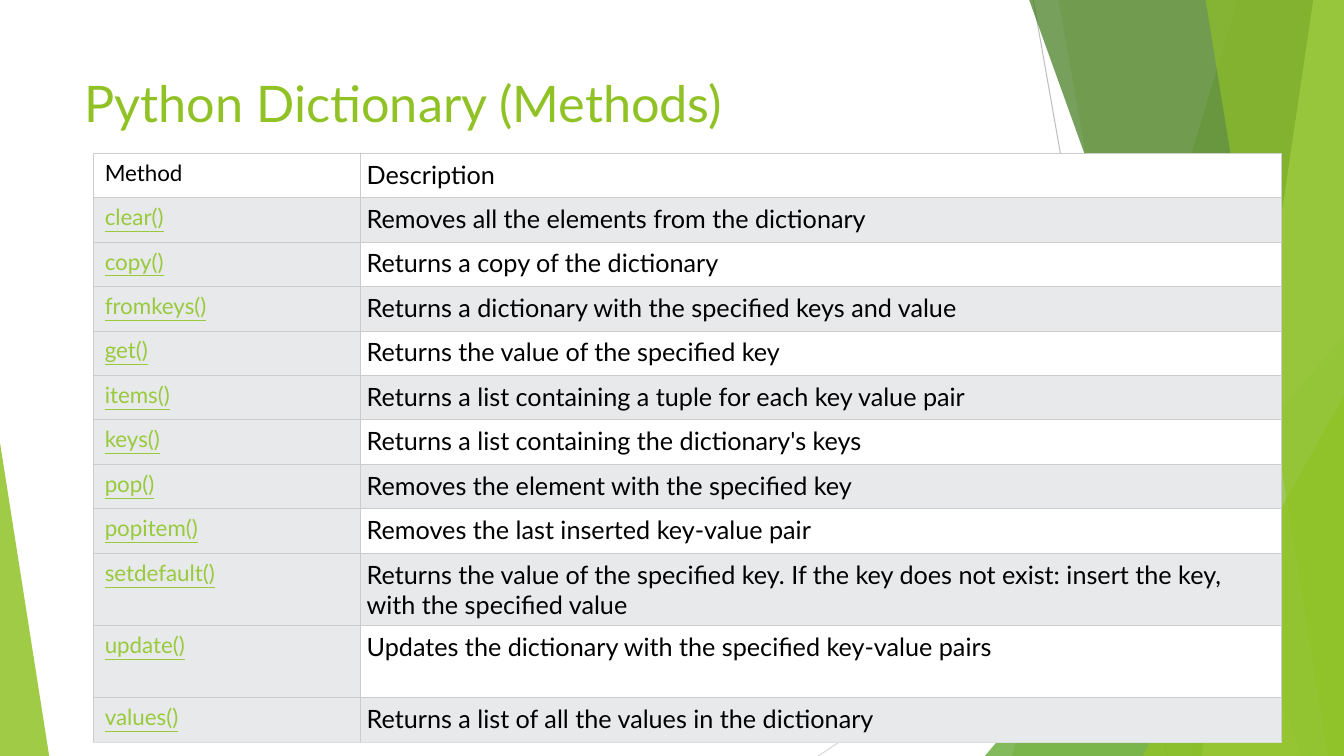
from dataclasses import dataclass

from lxml import etree
from pptx import Presentation
from pptx.dml.color import RGBColor
from pptx.enum.shapes import MSO_CONNECTOR, MSO_SHAPE
from pptx.enum.text import MSO_ANCHOR
from pptx.oxml.ns import qn
from pptx.util import Cm, Pt

STRAIGHT = MSO_CONNECTOR.STRAIGHT
TRIANGLE = MSO_SHAPE.ISOSCELES_TRIANGLE
TOP_ANCHOR = MSO_ANCHOR.TOP

FONT = "Lato"
WIDTH, HEIGHT = 33.87, 19.05
BLEED = -0.02
COLORS = {
    "green": "90C226", "mid_green": "54A021", "dark_green": "3F7819",
    "pale_green": "C0E474", "link": "99CA3C", "black": "000000",
    "white": "FFFFFF", "band": "E7E9EB", "border": "CCCCCC",
    "last_border": "DDDDDD", "line": "BFBFBF", "light_line": "D9D9D9",
}


@dataclass
class Ray:
    x1: float
    y1: float
    x2: float
    y2: float
    color: str


@dataclass
class Facet:
    top_x: float
    bottom_x: float
    color: str
    opacity: int


@dataclass
class Corner:
    left: float
    top: float
    width: float
    peak: float
    color: str
    opacity: int


@dataclass
class Method:
    name: str
    description: str
    height: float = 1.12


DECORATION = [
    Ray(26.04, 0, 29.41, HEIGHT, "line"),
    Ray(WIDTH, 10.24, 20.62, HEIGHT, "light_line"),
    Facet(31.19, 25.5, "green", 30),
    Facet(26.67, 30.05, "green", 20),
    Corner(24.82, 8.46, 9.05, 1, "mid_green", 72),
    Facet(25.93, 32.79, "dark_green", 70),
    Facet(33.1, 30.28, "pale_green", 70),
    Facet(30.38, 33.48, "green", 65),
    Corner(28.8, 9.98, 5.07, 1, "green", 80),
    Corner(0, 11.15, 1.24, 0, "green", 85),
]

METHODS = [
    Method("Method", "Description"),
    Method("clear()", "Removes all the elements from the dictionary"),
    Method("copy()", "Returns a copy of the dictionary"),
    Method("fromkeys()", "Returns a dictionary with the specified keys and value"),
    Method("get()", "Returns the value of the specified key"),
    Method("items()", "Returns a list containing a tuple for each key value pair"),
    Method("keys()", "Returns a list containing the dictionary's keys"),
    Method("pop()", "Removes the element with the specified key"),
    Method("popitem()", "Removes the last inserted key-value pair"),
    Method("setdefault()", "Returns the value of the specified key. If the key does not "
           "exist: insert the key, with the specified value", 1.82),
    Method("update()", "Updates the dictionary with the specified key-value pairs", 1.82),
    Method("values()", "Returns a list of all the values in the dictionary"),
]


def rgb(name: str) -> RGBColor:
    return RGBColor.from_string(COLORS[name])


def add_line_xml(parent, tag: str, color: str):
    ln = etree.SubElement(parent, qn(tag), w=str(Pt(0.75)))
    fill = etree.SubElement(ln, qn("a:solidFill"))
    etree.SubElement(fill, qn("a:srgbClr"), val=COLORS[color])
    return ln


def paint(s, color: str, opacity: int) -> None:
    s.shadow.inherit = False
    s.line.fill.background()
    s.fill.solid()
    s.fill.fore_color.rgb = rgb(color)
    clr = s._element.spPr.find(qn("a:solidFill"))[0]
    etree.SubElement(clr, qn("a:alpha"), val=str(opacity * 1000))


def draw_ray(shapes, ray: Ray) -> None:
    s = shapes.add_connector(STRAIGHT, Cm(ray.x1), Cm(ray.y1), Cm(ray.x2), Cm(ray.y2))
    s.line.color.rgb = rgb(ray.color)
    s.line.width = Pt(0.75)
    etree.SubElement(s._element.spPr, qn("a:effectLst"))


def draw_facet(shapes, facet: Facet) -> None:
    builder = shapes.build_freeform(Cm(facet.top_x), Cm(BLEED))
    builder.add_line_segments([
        (Cm(WIDTH), Cm(BLEED)),
        (Cm(WIDTH), Cm(HEIGHT)),
        (Cm(facet.bottom_x), Cm(HEIGHT)),
    ], close=True)
    paint(builder.convert_to_shape(), facet.color, facet.opacity)


def draw_corner(shapes, corner: Corner) -> None:
    s = shapes.add_shape(TRIANGLE, Cm(corner.left), Cm(corner.top),
                         Cm(corner.width), Cm(HEIGHT - corner.top))
    s.adjustments[0] = corner.peak
    paint(s, corner.color, corner.opacity)


def style_run(r, size: int, color: str) -> None:
    r.font.name = FONT
    r.font.size = Pt(size)
    r.font.color.rgb = rgb(color)


def draw_title(shapes, text: str) -> None:
    tf = shapes.add_textbox(Cm(1.88), Cm(1.7), Cm(23.88), Cm(3.66)).text_frame
    tf.word_wrap = True
    tf.vertical_anchor = TOP_ANCHOR
    tf.text = text
    style_run(tf.paragraphs[0].runs[0], 36, "green")


def fill_cell(cell, text: str, size: int, color: str, fill: str,
              left: float, bottom: str):
    cell.margin_left = Cm(left)
    cell.margin_right = cell.margin_top = cell.margin_bottom = Cm(0.15)
    tc_pr = cell._tc.get_or_add_tcPr()
    for side in "LRTB":
        add_line_xml(tc_pr, f"a:ln{side}", bottom if side == "B" else "border")
    cell.fill.solid()
    cell.fill.fore_color.rgb = rgb(fill)
    cell.text_frame.text = text
    r = cell.text_frame.paragraphs[0].runs[0]
    style_run(r, size, color)
    return r


def draw_table(shapes, methods: list[Method]) -> None:
    height = sum(m.height for m in methods)
    table = shapes.add_table(len(methods), 2, Cm(2.36), Cm(3.86),
                             Cm(29.93), Cm(height)).table
    table.first_row = table.horz_banding = False
    table.columns[0].width = Cm(6.73)
    table.columns[1].width = Cm(23.2)
    for i, m in enumerate(methods):
        table.rows[i].height = Cm(m.height)
        bottom = "last_border" if i == len(methods) - 1 else "border"
        r = fill_cell(table.cell(i, 0), m.name, 16, "link" if i else "black",
                      "band" if i else "white", 0.28, bottom)
        if i:
            r.font.underline = True
            r_pr = r._r.get_or_add_rPr()
            r_pr.insert(0, add_line_xml(r_pr, "a:ln", "black"))
        fill_cell(table.cell(i, 1), m.description, 18, "black",
                  "band" if i % 2 else "white", 0.15, bottom)


def main() -> None:
    prs = Presentation()
    prs.slide_width, prs.slide_height = Cm(WIDTH), Cm(HEIGHT)
    shapes = prs.slides.add_slide(prs.slide_layouts[6]).shapes
    painters = {Ray: draw_ray, Facet: draw_facet, Corner: draw_corner}
    for item in DECORATION:
        painters[type(item)](shapes, item)
    draw_title(shapes, "Python Dictionary (Methods)")
    draw_table(shapes, METHODS)
    prs.save("out.pptx")


if __name__ == "__main__":
    main()
